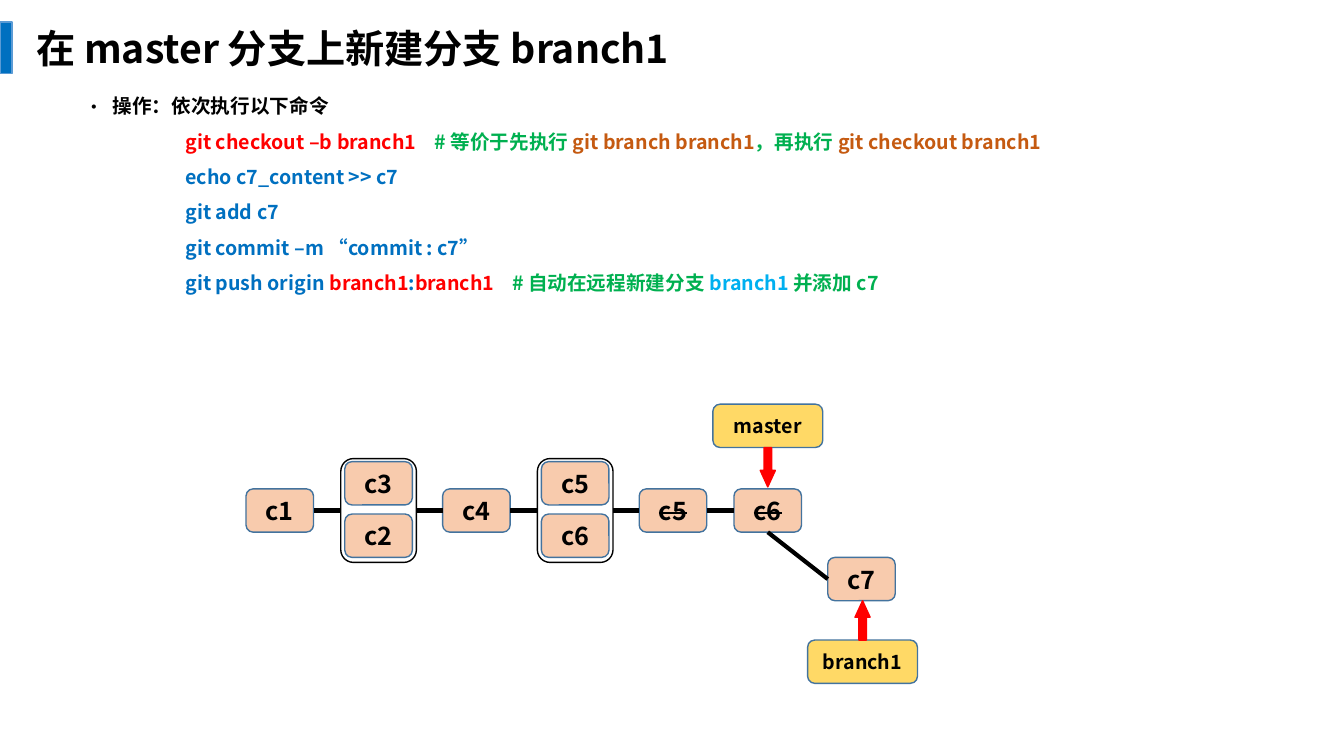
from dataclasses import dataclass

import lxml.etree
import pptx
import pptx.dml.color
import pptx.enum.shapes
import pptx.enum.text
import pptx.oxml.ns
import pptx.util
from pptx.dml.color import RGBColor

PX = 9144
FONT = "Noto Sans CJK SC"
BLACK = RGBColor(0x00, 0x00, 0x00)
BLUE = RGBColor(0x00, 0x70, 0xC0)
BAR_EDGE = RGBColor(0x5B, 0x9B, 0xD5)
RED = RGBColor(0xFF, 0x00, 0x00)
GREEN = RGBColor(0x00, 0xB0, 0x50)
BROWN = RGBColor(0xC5, 0x5A, 0x11)
SKY = RGBColor(0x00, 0xB0, 0xF0)
PEACH = RGBColor(0xF8, 0xCB, 0xAD)
YELLOW = RGBColor(0xFF, 0xD9, 0x66)
BOX_EDGE = RGBColor(0x43, 0x73, 0x9E)

NODE_WIDTH, BOX_HEIGHT = 67, 43
LABEL_WIDTH = 109
FRAME_WIDTH, FRAME_HEIGHT = 75, 103
ROW_TOP, FRAME_TOP = 485, 455
PAIR_INSET, PAIR_STEP = 4, 52
COMMAND_TAB = 100
TOP, LEFT, BOTTOM, RIGHT = range(4)
SHAPES = pptx.enum.shapes.MSO_SHAPE


@dataclass(frozen=True)
class Span:
    text: str
    color: RGBColor


@dataclass(frozen=True)
class Command:
    spans: tuple[Span, ...]
    comment_tab: int = 0


@dataclass(frozen=True)
class Box:
    text: str
    left: int
    top: int
    width: int = NODE_WIDTH
    fill: RGBColor = PEACH
    size: int = 18
    struck: bool = False


@dataclass(frozen=True)
class Pair:
    left: int
    upper: str
    lower: str


@dataclass(frozen=True)
class Arrow:
    left: int
    top: int
    rotation: int


COMMANDS = (
    Command((
        Span("\tgit checkout –b branch1", RED),
        Span("\t# 等价于先执行 ", GREEN),
        Span("git branch branch1", BROWN),
        Span("，再执行 ", GREEN),
        Span("git checkout branch1", BROWN),
    ), 347),
    Command((Span("\techo c7_content >> c7", BLUE),)),
    Command((Span("\tgit add c7", BLUE),)),
    Command((Span("\tgit commit –m “commit : c7”", BLUE),)),
    Command((
        Span("\tgit push origin ", BLUE),
        Span("branch1", RED),
        Span(":", BLUE),
        Span("branch1", RED),
        Span("\t# 自动在远程新建分支 ", GREEN),
        Span("branch1 ", SKY),
        Span("并添加 c7", GREEN),
    ), 424),
)

CHAIN = (
    Box("c1", 244, ROW_TOP),
    Pair(338, "c3", "c2"),
    Box("c4", 439, ROW_TOP),
    Pair(533, "c5", "c6"),
    Box("c5", 634, ROW_TOP, struck=True),
    Box("c6", 728, ROW_TOP, struck=True),
)
BRANCH_COMMIT = Box("c7", 821, 553)
LABELS = (
    Box("master", 707, 401, LABEL_WIDTH, YELLOW, 14),
    Box("branch1", 801, 635, LABEL_WIDTH, YELLOW, 14),
)
ARROWS = (Arrow(754, 444, 0), Arrow(848, 596, 180))


def add_xml(parent, tag: str, **attributes: str):
    return lxml.etree.SubElement(parent, pptx.oxml.ns.qn(tag), **attributes)


def format_run(run, size: int, color: RGBColor, struck: bool = False) -> None:
    run.font.size = pptx.util.Pt(size)
    run.font.bold = True
    run.font.name = FONT
    run.font.color.rgb = color
    properties = run.font._element
    add_xml(properties, "a:ea", typeface=FONT)
    if struck:
        properties.set("strike", "sngStrike")


def add_figure(page, kind, left: int, top: int, width: int, height: int,
               fill: RGBColor | None, edge: RGBColor):
    figure = page.shapes.add_shape(kind, left * PX, top * PX, width * PX, height * PX)
    figure.shadow.inherit = False
    if fill is None:
        figure.fill.background()
    else:
        figure.fill.solid()
        figure.fill.fore_color.rgb = fill
    figure.line.color.rgb = edge
    figure.line.width = pptx.util.Pt(1)
    return figure


def add_box(page, box: Box):
    figure = add_figure(page, SHAPES.ROUNDED_RECTANGLE, box.left, box.top,
                        box.width, BOX_HEIGHT, box.fill, BOX_EDGE)
    frame = figure.text_frame
    frame.text = box.text
    frame.vertical_anchor = pptx.enum.text.MSO_ANCHOR.MIDDLE
    para = frame.paragraphs[0]
    para.alignment = pptx.enum.text.PP_ALIGN.CENTER
    format_run(para.runs[0], box.size, BLACK, box.struck)
    return figure


def add_pair(page, pair: Pair):
    for row, text in enumerate((pair.upper, pair.lower)):
        add_box(page, Box(text, pair.left + PAIR_INSET, FRAME_TOP + 3 + row * PAIR_STEP))
    return add_figure(page, SHAPES.ROUNDED_RECTANGLE, pair.left, FRAME_TOP,
                      FRAME_WIDTH, FRAME_HEIGHT, None, BLACK)


def add_link(page, start, start_side: int, end, end_side: int) -> None:
    link = page.shapes.add_connector(pptx.enum.shapes.MSO_CONNECTOR.STRAIGHT, 0, 0, 0, 0)
    link.begin_connect(start, start_side)
    link.end_connect(end, end_side)
    link.line.color.rgb = BLACK
    link.line.width = pptx.util.Pt(3)
    add_xml(link._element.spPr, "a:effectLst")


def add_arrow(page, arrow: Arrow) -> None:
    figure = add_figure(page, SHAPES.DOWN_ARROW, arrow.left, arrow.top, 15, 39, RED, RED)
    figure.adjustments[0] = 0.5
    figure.adjustments[1] = 1.09
    figure.rotation = arrow.rotation


def add_text_frame(page, left: int, top: int, width: int, height: int):
    frame = page.shapes.add_textbox(left * PX, top * PX, width * PX, height * PX).text_frame
    frame.word_wrap = True
    return frame


def add_title(page) -> None:
    add_figure(page, SHAPES.RECTANGLE, 0, 22, 12, 51, BLUE, BAR_EDGE)
    frame = add_text_frame(page, 26, 19, 925, 57)
    frame.text = "在 master 分支上新建分支 branch1"
    format_run(frame.paragraphs[0].runs[0], 28, BLACK)


def add_commands(page) -> None:
    frame = add_text_frame(page, 74, 77, 1160, 218)
    frame.text = "操作：依次执行以下命令"
    para = frame.paragraphs[0]
    para.line_spacing = 1.5
    properties = para._p.get_or_add_pPr()
    properties.set("marL", str(28 * PX))
    properties.set("indent", str(-28 * PX))
    add_xml(properties, "a:buFont", typeface=FONT)
    add_xml(properties, "a:buChar", char="·")
    format_run(para.runs[0], 14, BLACK)
    for command in COMMANDS:
        para = frame.add_paragraph()
        para.line_spacing = 1.5
        stops = add_xml(para._p.get_or_add_pPr(), "a:tabLst")
        for stop in filter(None, (COMMAND_TAB, command.comment_tab)):
            add_xml(stops, "a:tab", pos=str(stop * PX), algn="l")
        for span in command.spans:
            run = para.add_run()
            run.text = span.text
            format_run(run, 14, span.color)


def main() -> None:
    deck = pptx.Presentation()
    deck.slide_width, deck.slide_height = 1333 * PX, 750 * PX
    page = deck.slides.add_slide(deck.slide_layouts[6])
    add_title(page)
    add_commands(page)
    chain = [add_pair(page, item) if isinstance(item, Pair) else add_box(page, item)
             for item in CHAIN]
    for start, end in zip(chain, chain[1:]):
        add_link(page, start, RIGHT, end, LEFT)
    add_link(page, chain[-1], BOTTOM, add_box(page, BRANCH_COMMIT), LEFT)
    for label in LABELS:
        add_box(page, label)
    for arrow in ARROWS:
        add_arrow(page, arrow)
    deck.save("out.pptx")


if __name__ == "__main__":
    main()
